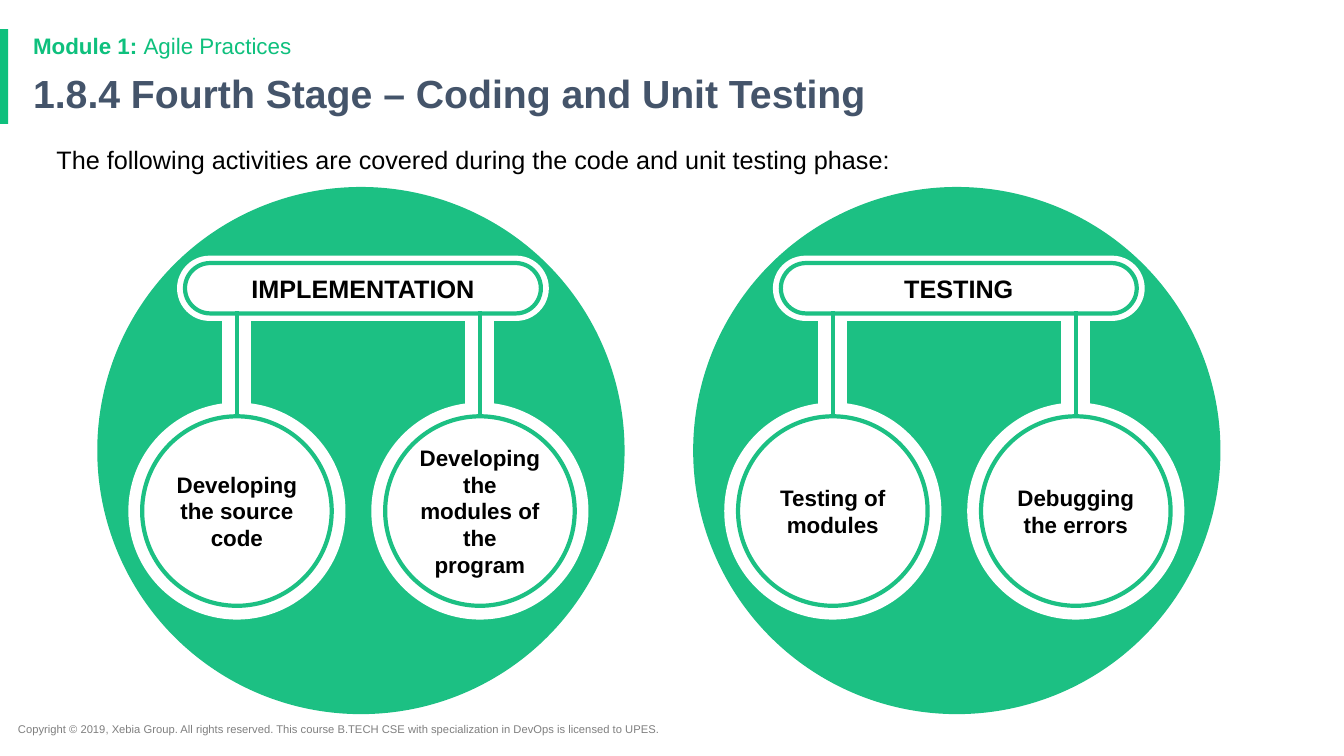
from dataclasses import dataclass

from lxml import etree
from pptx import Presentation
from pptx.dml.color import RGBColor
from pptx.enum.shapes import MSO_CONNECTOR, MSO_SHAPE
from pptx.enum.text import MSO_ANCHOR, PP_ALIGN
from pptx.oxml.ns import qn
from pptx.util import Inches, Pt

RECTANGLE, ROUNDED, OVAL = MSO_SHAPE.RECTANGLE, MSO_SHAPE.ROUNDED_RECTANGLE, MSO_SHAPE.OVAL
STRAIGHT = MSO_CONNECTOR.STRAIGHT
TOP, MIDDLE = MSO_ANCHOR.TOP, MSO_ANCHOR.MIDDLE
LEFT, CENTER = PP_ALIGN.LEFT, PP_ALIGN.CENTER

MODULE = [("Module 1: ", True), ("Agile Practices", False)]
TITLE = [("1.8.4 Fourth Stage – Coding and Unit Testing", True)]
INTRO = [("The following activities are covered during the code and unit testing phase:", False)]
COPYRIGHT = [("Copyright © 2019, Xebia Group. All rights reserved. This course B.TECH CSE "
              "with specialization in DevOps is licensed to UPES.", False)]
STAGES = [
    ("IMPLEMENTATION", ["Developing the source code", "Developing the modules of the program"]),
    ("TESTING", ["Testing of modules", "Debugging the errors"]),
]


@dataclass(frozen=True)
class Theme:
    font: str = "Arial"
    accent: str = "0EC07D"
    green: str = "1CC083"
    white: str = "FFFFFF"
    black: str = "000000"
    slate: str = "44546A"
    gray: str = "7F7F7F"
    title_size: int = 28
    heading_size: int = 18
    label_size: int = 16
    footer_size: int = 8
    outline: int = 3
    edge: int = 2
    thick_edge: int = 6


THEME = Theme()

# Lengths in inches
FIRST_CENTER_X, STAGE_STEP = 3.58, 5.91
DISC_CENTER_Y, DISC_SIZE = 4.47, 5.23
PILL_SHIFT, PILL_CENTER_Y = 0.02, 2.86
PILL_WIDTH, PILL_HEIGHT = 3.66, 0.62
PILL_RING_WIDTH, PILL_RING_HEIGHT = 3.53, 0.5
ACTIVITY_SHIFTS, ACTIVITY_CENTER_Y = (-1.23, 1.18), 5.07
ACTIVITY_SIZE, RING_SIZE = 2.07, 1.88
STEM_WIDTH, STEM_HEIGHT, STEM_CENTER_Y = 0.26, 0.91, 3.61
LINE_TOP = 3.09


def write(shape, spans, size, color=THEME.black, align=LEFT, anchor=TOP,
          spacing=None, after=0, left_inset=0.1, top_inset=0.05):
    """Fill a shape with one paragraph made of (text, bold) spans."""
    frame = shape.text_frame
    frame.word_wrap = True
    frame.vertical_anchor = anchor
    frame.margin_left, frame.margin_top = Inches(left_inset), Inches(top_inset)
    para = frame.paragraphs[0]
    para.alignment = align
    para.space_after = Pt(after)
    if spacing:
        para.line_spacing = spacing
    for text, bold in spans:
        span = para.add_run()
        span.text = text
        span.font.name, span.font.size, span.font.bold = THEME.font, Pt(size), bold
        span.font.color.rgb = RGBColor.from_string(color)


def add_text(page, left, top, width, height, spans, size, **style):
    box = page.shapes.add_textbox(Inches(left), Inches(top), Inches(width), Inches(height))
    write(box, spans, size, **style)


def add_centered(page, kind, center_x, center_y, width, height,
                 fill=None, line=None, weight=0):
    """Add a preset shape around a centre point; without fill or line it shows none."""
    shape = page.shapes.add_shape(kind, Inches(center_x - width / 2), Inches(center_y - height / 2),
                                  Inches(width), Inches(height))
    shape.shadow.inherit = False
    if kind == ROUNDED:
        shape.adjustments[0] = 0.5
    if fill:
        shape.fill.solid()
        shape.fill.fore_color.rgb = RGBColor.from_string(fill)
    else:
        shape.fill.background()
    if line:
        shape.line.color.rgb = RGBColor.from_string(line)
        shape.line.width = Pt(weight)
    else:
        shape.line.fill.background()
    return shape


def add_drop_line(page, center_x, ring):
    """Draw the line from the stage pill down to the top of an activity ring."""
    line = page.shapes.add_connector(STRAIGHT, Inches(center_x), Inches(LINE_TOP),
                                     Inches(center_x), ring.top)
    line.end_connect(ring, 0)
    line.line.color.rgb = RGBColor.from_string(THEME.green)
    line.line.width = Pt(THEME.outline)
    etree.SubElement(line._element.spPr, qn("a:effectLst"))


def add_stage(page, center_x, heading, activities):
    white_edge = {"fill": THEME.white, "line": THEME.white}
    green_ring = {"line": THEME.green, "weight": THEME.outline}
    activity_centers = [center_x + shift for shift in ACTIVITY_SHIFTS]
    pill_x = center_x + PILL_SHIFT

    add_centered(page, OVAL, center_x, DISC_CENTER_Y, DISC_SIZE, DISC_SIZE, fill=THEME.green)
    for activity_x, activity in zip(activity_centers, activities):
        circle = add_centered(page, OVAL, activity_x, ACTIVITY_CENTER_Y, ACTIVITY_SIZE,
                              ACTIVITY_SIZE, weight=THEME.thick_edge, **white_edge)
        write(circle, [(activity, True)], THEME.label_size, align=CENTER, anchor=MIDDLE)

    pill = add_centered(page, ROUNDED, pill_x, PILL_CENTER_Y, PILL_WIDTH, PILL_HEIGHT,
                        weight=THEME.edge, **white_edge)
    write(pill, [(heading, True)], THEME.heading_size, align=CENTER, anchor=MIDDLE)
    for activity_x in activity_centers:
        add_centered(page, RECTANGLE, activity_x, STEM_CENTER_Y, STEM_WIDTH, STEM_HEIGHT,
                     weight=THEME.edge, **white_edge)

    add_centered(page, ROUNDED, pill_x, PILL_CENTER_Y, PILL_RING_WIDTH, PILL_RING_HEIGHT,
                 **green_ring)
    for activity_x in activity_centers:
        ring = add_centered(page, OVAL, activity_x, ACTIVITY_CENTER_Y, RING_SIZE, RING_SIZE,
                            **green_ring)
        add_drop_line(page, activity_x, ring)


def main():
    deck = Presentation()
    deck.slide_width, deck.slide_height = Inches(13.33), Inches(7.5)
    page = deck.slides.add_slide(deck.slide_layouts[6])

    add_centered(page, RECTANGLE, 0.04, 0.76, 0.08, 0.94, fill=THEME.accent)
    add_text(page, 0.08, 7.12, 7.13, 0.24, COPYRIGHT, THEME.footer_size, color=THEME.gray)
    add_text(page, 0.23, 0.3, 11.5, 0.33, MODULE, THEME.label_size,
             color=THEME.accent, spacing=0.9)
    add_text(page, 0.23, 0.69, 11.5, 0.54, TITLE, THEME.title_size,
             color=THEME.slate, spacing=0.9)
    add_text(page, 0.56, 1.43, 11.24, 5.29, INTRO, THEME.heading_size,
             after=6, left_inset=0, top_inset=0)
    for index, (heading, activities) in enumerate(STAGES):
        add_stage(page, FIRST_CENTER_X + index * STAGE_STEP, heading, activities)

    deck.save("out.pptx")


if __name__ == "__main__":
    main()
